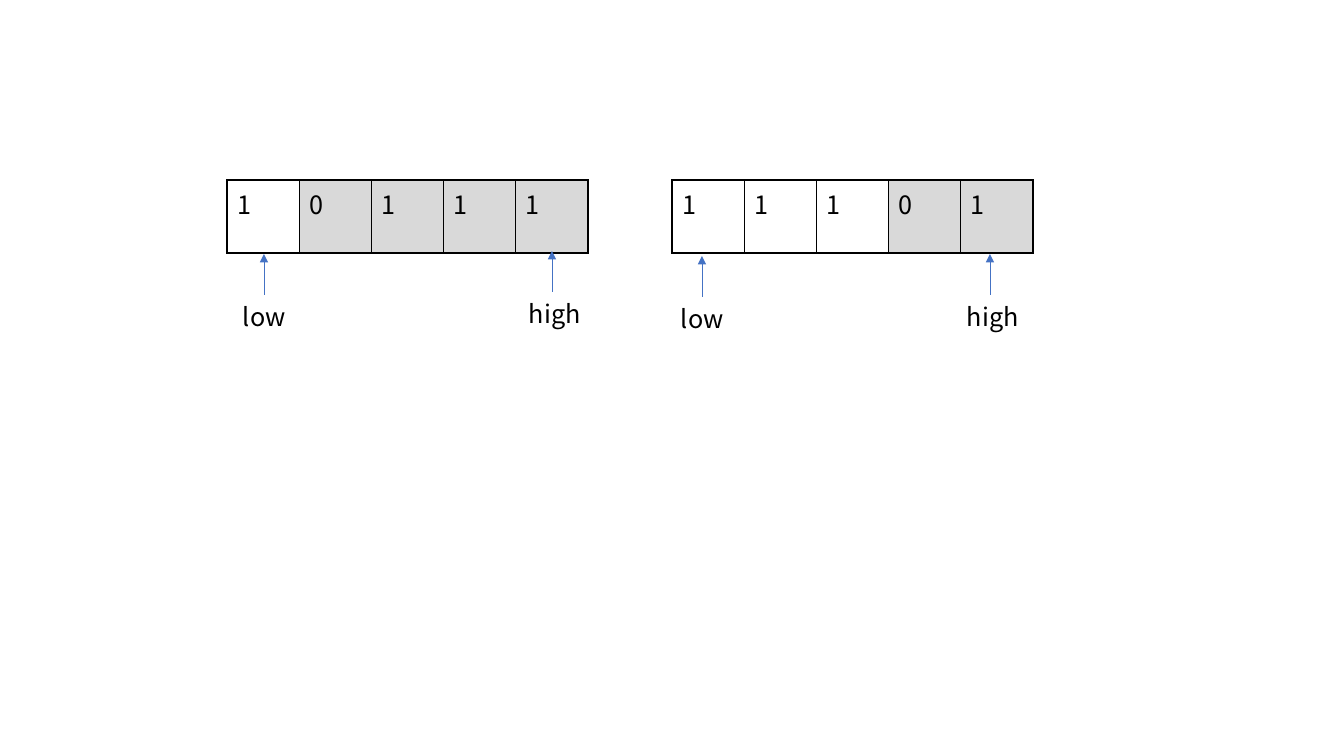
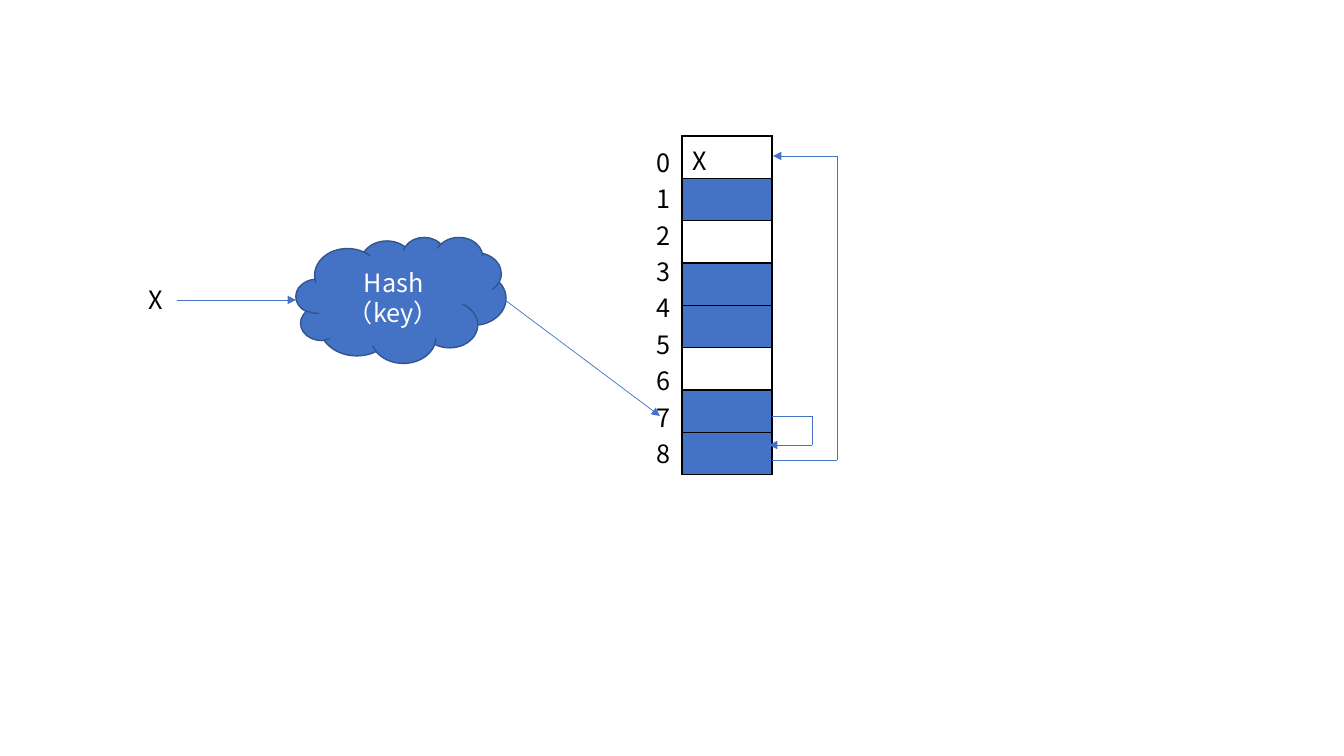
import pptx
import pptx.dml.color
import pptx.enum.shapes
import pptx.enum.text
import pptx.oxml
import pptx.oxml.ns
import pptx.util

SCALE = 12192000 / 1344
FONT = "Noto Sans CJK SC"
BLACK, WHITE, GREY = "000000", "FFFFFF", "D9D9D9"
BLUE, NAVY = "4472C4", "325491"
NS = pptx.oxml.ns.nsdecls("a")


def px(size):
    return pptx.util.Emu(round(size * SCALE))


def rgb(code):
    return pptx.dml.color.RGBColor.from_string(code)


def paint(fill, code):
    fill.solid()
    fill.fore_color.rgb = rgb(code)


class Deck:
    """Hold the shared style and the current slide."""

    def __init__(self):
        self.show = pptx.Presentation()
        self.show.slide_width, self.show.slide_height = px(1344), px(756)
        self.face = {"name": FONT, "size": pptx.util.Pt(18)}

    def page(self):
        self.slide = self.show.slides.add_slide(self.show.slide_layouts[6])

    def label(self, para, text, color=BLACK):
        """Add a run in the shared font to a paragraph."""
        run = para.add_run()
        run.text = text
        for key, value in self.face.items():
            setattr(run.font, key, value)
        run.font.color.rgb = rgb(color)
        east = pptx.oxml.parse_xml(f'<a:ea {NS} typeface="{FONT}"/>')
        run.font._element.append(east)

    def text(self, x, y, w, h, lines, pitch=None):
        frame = self.slide.shapes.add_textbox(px(x), px(y), px(w), px(h)).text_frame
        frame.word_wrap = True
        for i, line in enumerate(lines):
            para = frame.add_paragraph() if i else frame.paragraphs[0]
            if pitch:
                para.line_spacing = pptx.util.Pt(pitch)
            self.label(para, line)

    def cloud(self, x, y, w, h, text):
        kind = pptx.enum.shapes.MSO_SHAPE.CLOUD
        shape = self.slide.shapes.add_shape(kind, px(x), px(y), px(w), px(h))
        shape.shadow.inherit = False
        paint(shape.fill, BLUE)
        paint(shape.line.fill, NAVY)
        shape.line.width = pptx.util.Pt(1)
        frame = shape.text_frame
        frame.word_wrap = True
        frame.vertical_anchor = pptx.enum.text.MSO_ANCHOR.MIDDLE
        frame.paragraphs[0].alignment = pptx.enum.text.PP_ALIGN.CENTER
        self.label(frame.paragraphs[0], text, WHITE)

    def route(self, *points):
        """Join the points by lines, with an arrowhead at the last."""
        kind = pptx.enum.shapes.MSO_CONNECTOR.STRAIGHT
        for start, end in zip(points, points[1:]):
            spots = [px(v) for v in (*start, *end)]
            line = self.slide.shapes.add_connector(kind, *spots)
            paint(line.line.fill, BLUE)
            line.line.width = pptx.util.Pt(0.5)
            line._element.spPr.append(pptx.oxml.parse_xml(f"<a:effectLst {NS}/>"))
        head = pptx.oxml.parse_xml(f'<a:tailEnd {NS} type="triangle"/>')
        line._element.spPr.find(pptx.oxml.ns.qn("a:ln")).append(head)

    def edge(self, cell):
        """Put a thin black border round a cell."""
        props = cell._tc.get_or_add_tcPr()
        for i, side in enumerate(("lnL", "lnR", "lnT", "lnB")):
            props.insert(i, pptx.oxml.parse_xml(
                f'<a:{side} {NS} w="12700"><a:solidFill><a:srgbClr val="{BLACK}"/>'
                f"</a:solidFill></a:{side}>"))

    def grid(self, x, y, w, h, rows):
        """Draw a table from rows of (text, fill) pairs."""
        count, wide = len(rows), len(rows[0])
        table = self.slide.shapes.add_table(
            count, wide, px(x), px(y), px(w), px(h)).table
        table.first_row = table.horz_banding = False
        for col in table.columns:
            col.width = px(w / wide)
        for row, items in zip(table.rows, rows):
            row.height = px(h / count)
            for cell, (text, fill) in zip(row.cells, items):
                paint(cell.fill, fill)
                self.edge(cell)
                if text:
                    self.label(cell.text_frame.paragraphs[0], text)

    def mark(self, x, y, text, shift, width):
        """Point up at (x, y) from a label below."""
        self.route((x, y + 41), (x, y))
        self.text(x - shift, y + 42, width, 40, [text])


def search(deck):
    deck.page()
    arrays = ((227, "10111", 1, (264, 254), (552, 251)),
              (672, "11101", 3, (702, 256), (990, 254)))
    for left, bits, plain, low, high in arrays:
        row = [(bit, WHITE if i < plain else GREY) for i, bit in enumerate(bits)]
        deck.grid(left, 180, 361, 73, [row])
        deck.mark(*low, "low", 31, 64)
        deck.mark(*high, "high", 33, 77)


def probe(deck):
    deck.page()
    deck.text(139, 279, 38, 40, ["X"])
    deck.cloud(296, 237, 210, 126, "Hash（key）")
    deck.route((177, 300), (296, 300))
    used = {1, 3, 4, 6, 7}
    slots = [[("" if i else "X", BLUE if i in used else WHITE)] for i in range(8)]
    deck.grid(682, 136, 90, 339, slots)
    deck.text(647, 136, 29, 339, [str(i) for i in range(9)], 26)
    deck.route((505, 300), (660, 416))
    deck.route((772, 416), (812, 416), (812, 445), (769, 445))
    deck.route((772, 460), (837, 460), (837, 156), (773, 156))


def main():
    deck = Deck()
    search(deck)
    probe(deck)
    deck.show.save("out.pptx")


if __name__ == "__main__":
    main()
